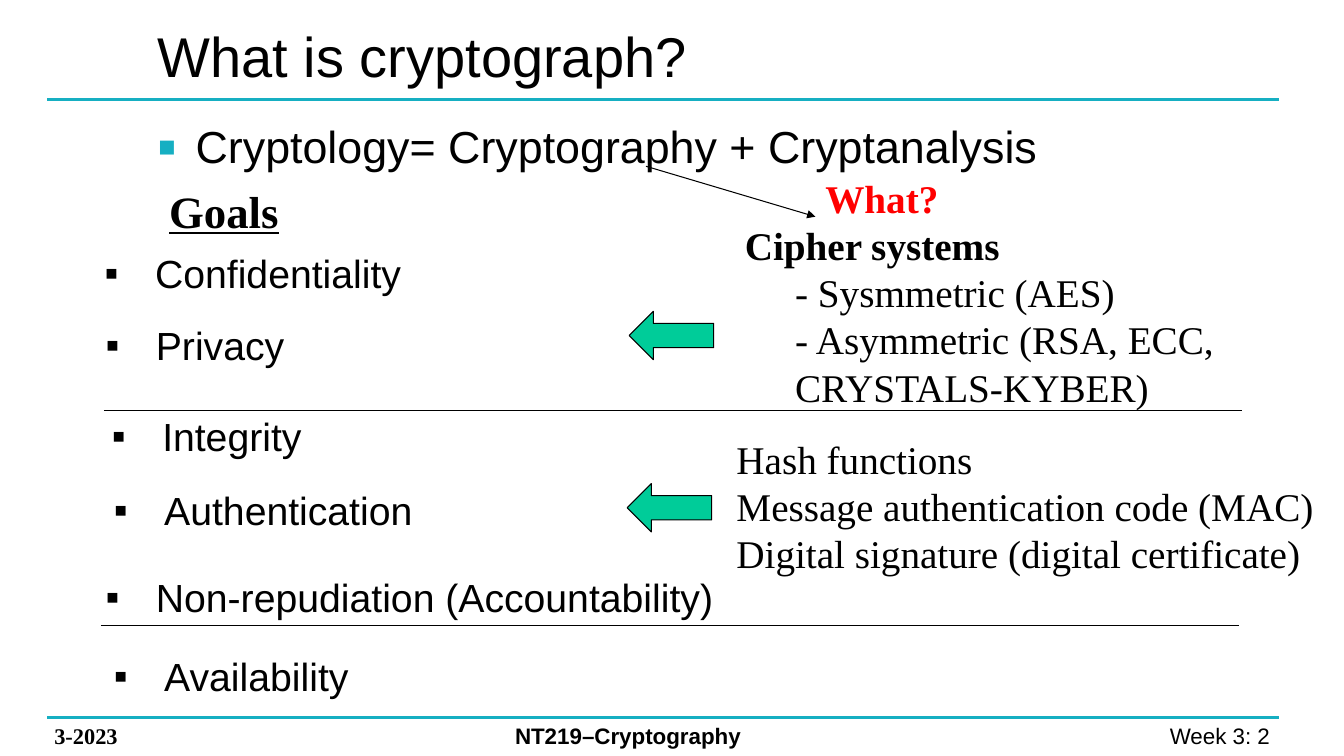
from lxml.etree import SubElement
from pptx import Presentation
from pptx.dml.color import RGBColor
from pptx.enum.shapes import MSO_CONNECTOR, MSO_SHAPE
from pptx.enum.text import MSO_ANCHOR, MSO_AUTO_SIZE, PP_ALIGN
from pptx.oxml.ns import qn
from pptx.util import Cm, Pt

SANS, SERIF = "Arial", "Times New Roman"
TEAL, BLACK, RED, GREEN = "16AFC2", "000000", "FF0000", "00CC99"


def color(code):
    return RGBColor.from_string(code)


class Page:
    """Holds the text style and the slide being drawn."""

    def __init__(self, slide, font=SANS, size=28):
        self.shapes = slide.shapes
        self.font, self.size = font, size

    def text(self, left, top, width, height, lines, font=None, size=None,
             ink=BLACK, bold=False, underline=False, wrap=True, grow=True):
        box = self.shapes.add_textbox(Cm(left), Cm(top), Cm(width), Cm(height))
        frame = box.text_frame
        frame.text = "\n".join(lines)
        frame.word_wrap = wrap
        frame.auto_size = MSO_AUTO_SIZE.SHAPE_TO_FIT_TEXT if grow else MSO_AUTO_SIZE.NONE
        for para in frame.paragraphs:
            for span in para.runs:
                span.font.name = font or self.font
                span.font.size = Pt(size or self.size)
                span.font.color.rgb = color(ink)
                span.font.bold = bold
                span.font.underline = underline
        return frame

    def indent(self, para, margin, hanging=0):
        properties = para._p.get_or_add_pPr()
        properties.set("marL", str(Cm(margin)))
        properties.set("indent", str(-Cm(hanging)))
        return properties

    def bullet(self, para, margin, ink=BLACK, percent=100):
        properties = self.indent(para, margin, margin)
        fill = SubElement(properties, qn("a:buClr"))
        SubElement(fill, qn("a:srgbClr"), val=ink)
        SubElement(properties, qn("a:buSzPct"), val=str(percent * 1000))
        SubElement(properties, qn("a:buFont"), typeface=SANS)
        SubElement(properties, qn("a:buChar"), char="▪")

    def goal(self, left, top, width, label):
        frame = self.text(left, top, width, 1.45, [label], wrap=False)
        self.bullet(frame.paragraphs[0], 1.27)

    def line(self, left, top, right, bottom, ink=BLACK, weight=0.75, arrow=False):
        connector = self.shapes.add_connector(
            MSO_CONNECTOR.STRAIGHT, Cm(left), Cm(top), Cm(right), Cm(bottom))
        connector.line.color.rgb = color(ink)
        connector.line.width = Pt(weight)
        if arrow:
            SubElement(connector.line._get_or_add_ln(), qn("a:tailEnd"), type="triangle")
        SubElement(connector._element.spPr, qn("a:effectLst"))

    def block_arrow(self, left, top):
        """Down arrow turned a quarter so that it points left."""
        arrow = self.shapes.add_shape(
            MSO_SHAPE.DOWN_ARROW, Cm(left), Cm(top), Cm(1.22), Cm(2.13))
        arrow.rotation = 90
        arrow.shadow.inherit = False
        arrow.fill.solid()
        arrow.fill.fore_color.rgb = color(GREEN)
        arrow.line.color.rgb = color(BLACK)
        arrow.line.width = Pt(0.75)


def main():
    deck = Presentation()
    deck.slide_width, deck.slide_height = Cm(33.87), Cm(19.05)
    page = Page(deck.slides.add_slide(deck.slide_layouts[6]))

    # Frame: teal rules and footer
    for height in (2.51, 18.08):
        page.line(1.19, height, 32.23, height, TEAL, 2.25)
    number = page.text(24.94, 18.08, 7.47, 0.94, ["Week 3: 2 "], size=16)
    number.paragraphs[0].alignment = PP_ALIGN.RIGHT
    page.text(1.12, 18.06, 4.52, 0.94, ["3-2023"], SERIF, 16, bold=True)
    page.text(12.73, 18.08, 10.39, 0.94, ["NT219–Cryptography"], size=16, bold=True)

    # Title and definition
    title = page.text(3.73, 0.28, 18.49, 2.21, ["What is cryptograph?"], size=40, grow=False)
    title.vertical_anchor = MSO_ANCHOR.MIDDLE
    body = page.text(3.73, 2.87, 22.78, 13.79,
                     ["Cryptology= Cryptography + Cryptanalysis"], size=32, grow=False)
    body.paragraphs[0].space_before = Pt(4)
    page.bullet(body.paragraphs[0], 0.95, TEAL, 125)
    page.line(16.28, 4.19, 20.55, 5.46, arrow=True)

    # Goals
    page.text(4.01, 4.5, 3.3, 1.63, ["Goals"], SERIF, 32, bold=True, underline=True, wrap=False)
    for goal in (
        (2.39, 6.15, 8.08, "Confidentiality"),
        (2.41, 7.98, 5.08, "Privacy"),
        (2.57, 10.26, 5.36, "Integrity"),
        (2.62, 12.14, 8.13, "Authentication"),
        (2.41, 14.33, 16.08, "Non-repudiation (Accountability)"),
        (2.62, 16.31, 6.5, "Availability"),
    ):
        page.goal(*goal)
    for left, height in ((2.62, 10.34), (2.54, 15.77)):
        page.line(left, height, left + 28.68, height)

    # Techniques that serve the goals
    ciphers = page.text(18.52, 5.46, 15.11, 5.05, [
        "Cipher systems",
        "- Sysmmetric (AES)",
        "- Asymmetric (RSA, ECC, CRYSTALS-KYBER)",
    ], SERIF)
    heading, *kinds = ciphers.paragraphs
    heading.runs[0].font.bold = True
    for kind in kinds:
        kind.level = 1
        page.indent(kind, 1.27)
    page.text(18.31, 10.85, 16.08, 3.84, [
        "Hash functions",
        "Message authentication code (MAC)",
        "Digital signature (digital certificate)",
    ], SERIF)
    page.block_arrow(16.31, 7.39)
    page.block_arrow(16.26, 11.73)
    page.text(20.55, 4.27, 3.4, 1.45, ["What?"], SERIF, ink=RED, bold=True, wrap=False)

    deck.save("out.pptx")


if __name__ == "__main__":
    main()
